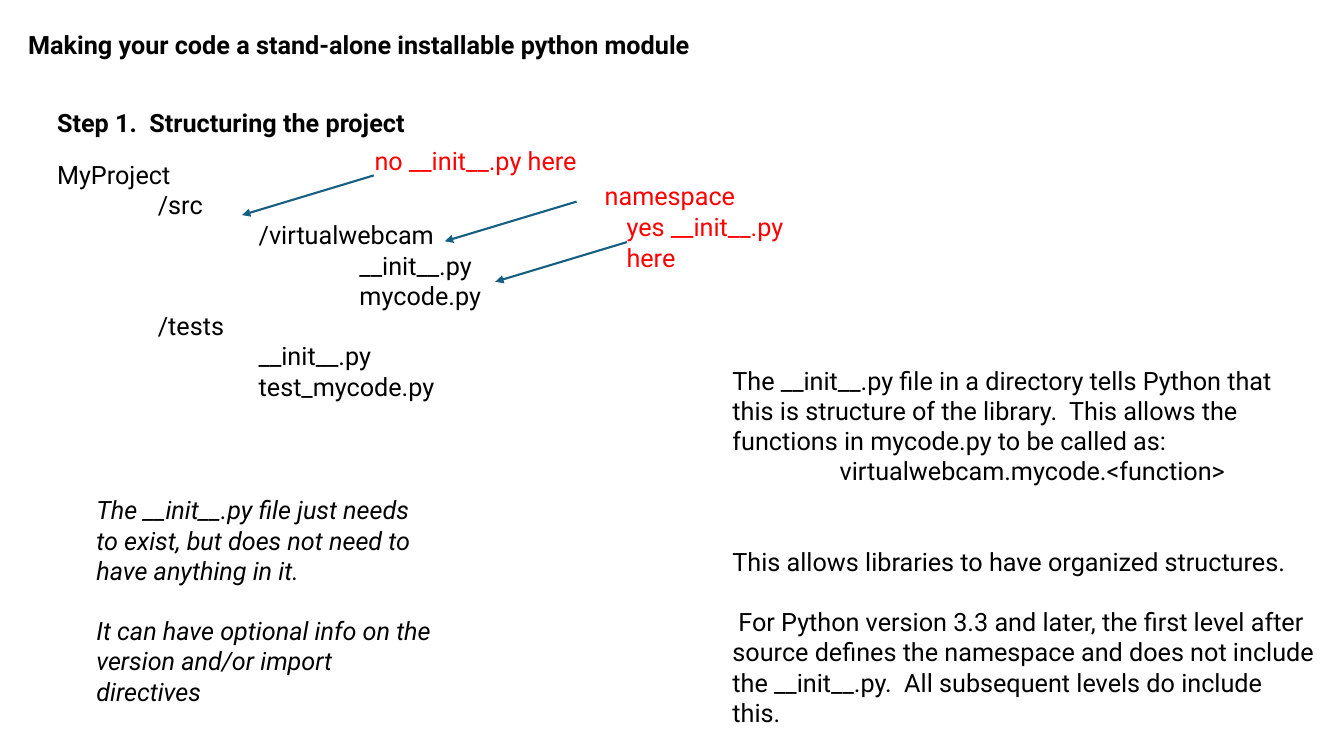
"""Build a slide on structuring an installable Python project."""
from dataclasses import dataclass

from lxml import etree
from pptx import Presentation
from pptx.dml.color import RGBColor
from pptx.enum.shapes import MSO_CONNECTOR
from pptx.enum.text import MSO_AUTO_SIZE
from pptx.oxml.ns import qn
from pptx.slide import Slide
from pptx.util import Cm, Pt

STRAIGHT = MSO_CONNECTOR.STRAIGHT
FIT_SHAPE = MSO_AUTO_SIZE.SHAPE_TO_FIT_TEXT


@dataclass(frozen=True)
class Theme:
    font: str = "Roboto"
    size: Pt = Pt(18)
    blank_line: Pt = Pt(21.5)
    arrow_width: Pt = Pt(1.5)
    ink: RGBColor = RGBColor(0x00, 0x00, 0x00)
    alert: RGBColor = RGBColor(0xFF, 0x00, 0x00)
    arrow: RGBColor = RGBColor(0x15, 0x60, 0x82)


@dataclass(frozen=True)
class Line:
    text: str
    margin: float = 0
    first_indent: float = 0
    blanks_before: int = 0


@dataclass(frozen=True)
class TextBlock:
    left: float
    top: float
    width: float
    height: float
    lines: tuple[Line, ...]
    color: RGBColor = Theme.ink
    bold: bool = False
    italic: bool = False
    wrap: bool = True


@dataclass(frozen=True)
class Arrow:
    left: float
    top: float


THEME = Theme()
TAB = 2.54
ROW = 1.02
ARROW_RUN, ARROW_DROP = -3.32, 1.0

PROJECT_TREE = (
    (0, "MyProject"),
    (1, "/src"),
    (2, "/virtualwebcam"),
    (3, "__init__.py"),
    (3, "mycode.py"),
    (1, "/tests"),
    (2, "__init__.py"),
    (2, "test_mycode.py"),
)

EXPLANATION = (
    Line("The __init__.py file in a directory tells Python that this is structure of the library.  "
         "This allows the functions in mycode.py to be called as:"),
    Line("virtualwebcam.mycode.<function>", margin=2.7),
    Line("This allows libraries to have organized structures.", blanks_before=2),
    Line("For Python version 3.3 and later, the first level after source defines the namespace "
         "and does not include the __init__.py.  All subsequent levels do include this.",
         first_indent=0.15, blanks_before=1),
)

INIT_NOTE = (
    Line("The __init__.py file just needs to exist, but does not need to have anything in it."),
    Line("It can have optional info on the version and/or import directives", blanks_before=1),
)

BLOCKS = (
    TextBlock(0.46, 0.61, 17.45, ROW,
              (Line("Making your code a stand-alone installable python module"),),
              bold=True, wrap=False),
    TextBlock(1.19, 3.89, 13.34, 6.6,
              tuple(Line(name, margin=depth * TAB) for depth, name in PROJECT_TREE)),
    TextBlock(1.19, 2.57, 11.81, ROW, (Line("Step 1.  Structuring the project"),), bold=True),
    TextBlock(18.21, 9.07, 15.21, 9.5, EXPLANATION),
    TextBlock(14.99, 4.42, 4.45, ROW, (Line("namespace"),), color=THEME.alert),
    TextBlock(9.19, 3.53, 5.79, ROW, (Line("no __init__.py here"),), color=THEME.alert),
    TextBlock(15.54, 5.21, 5.6, ROW, (Line("yes __init__.py here"),), color=THEME.alert),
    TextBlock(2.18, 12.34, 9.04, 5.64, INIT_NOTE, italic=True),
)

ARROWS = (Arrow(14.53, 5.08), Arrow(9.42, 4.42), Arrow(15.8, 6.1))


def add_text_block(page: Slide, block: TextBlock) -> None:
    """Add a text box with one paragraph per line."""
    box = page.shapes.add_textbox(Cm(block.left), Cm(block.top), Cm(block.width), Cm(block.height))
    frame = box.text_frame
    frame.word_wrap = block.wrap
    frame.auto_size = FIT_SHAPE
    for index, line in enumerate(block.lines):
        para = frame.add_paragraph() if index else frame.paragraphs[0]
        para.space_before = line.blanks_before * THEME.blank_line
        properties = para._p.get_or_add_pPr()
        properties.set("marL", str(Cm(line.margin)))
        properties.set("indent", str(Cm(line.first_indent)))
        span = para.add_run()
        span.text = line.text
        span.font.name = THEME.font
        span.font.size = THEME.size
        span.font.bold = block.bold
        span.font.italic = block.italic
        span.font.color.rgb = block.color


def add_arrow(page: Slide, arrow: Arrow) -> None:
    """Add an arrow that points down and to the left."""
    connector = page.shapes.add_connector(
        STRAIGHT, Cm(arrow.left), Cm(arrow.top),
        Cm(arrow.left + ARROW_RUN), Cm(arrow.top + ARROW_DROP))
    connector.line.color.rgb = THEME.arrow
    connector.line.width = THEME.arrow_width
    etree.SubElement(connector.line._get_or_add_ln(), qn("a:tailEnd"), type="triangle")
    etree.SubElement(connector._element.spPr, qn("a:effectLst"))


def main() -> None:
    """Build and save the deck."""
    deck = Presentation()
    deck.slide_width, deck.slide_height = Cm(33.87), Cm(19.05)
    page = deck.slides.add_slide(deck.slide_layouts[6])
    for block in BLOCKS:
        add_text_block(page, block)
    for arrow in ARROWS:
        add_arrow(page, arrow)
    deck.save("out.pptx")


if __name__ == "__main__":
    main()
